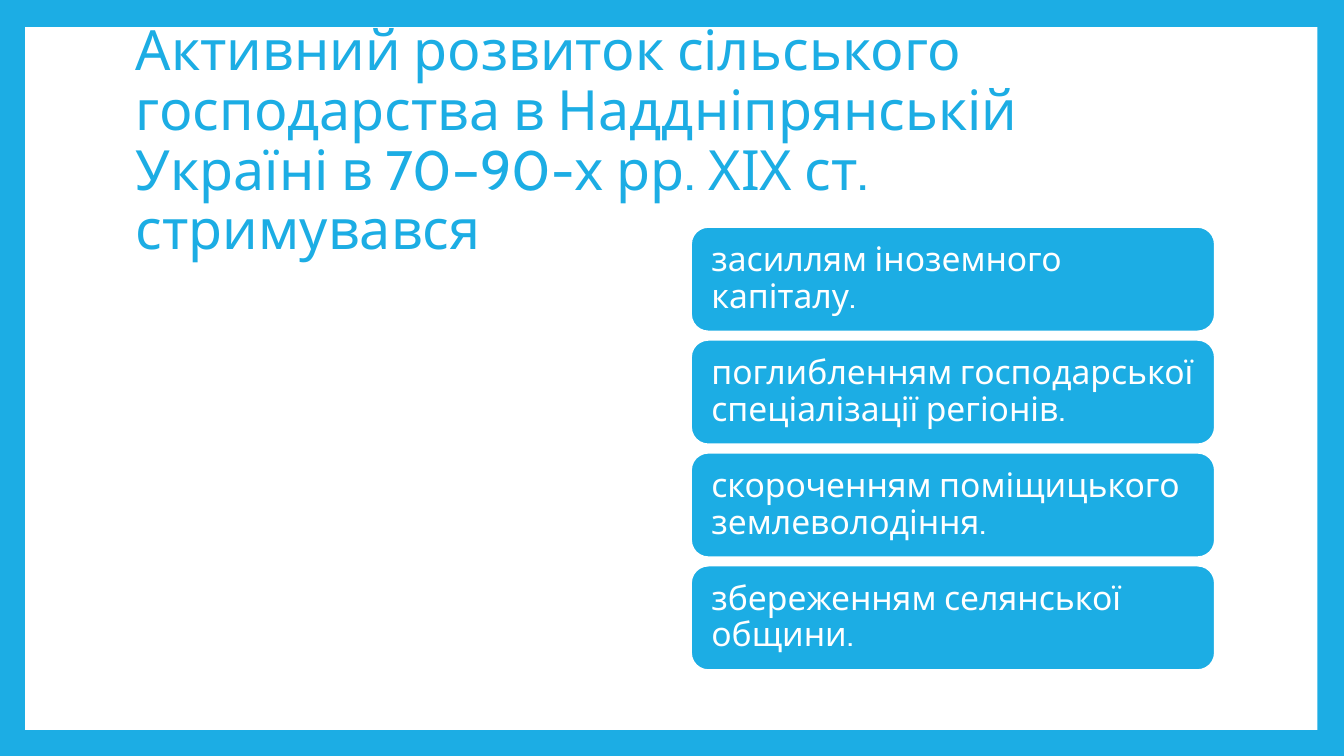
from pptx import Presentation
from pptx import util as u
from pptx.dml.color import RGBColor
from pptx.enum import shapes, text

BLUE = RGBColor(0x1C, 0xAD, 0xE4)
WHITE = RGBColor(0xFF, 0xFF, 0xFF)

TITLE = ("Активний розвиток сільського господарства в Наддніпрянській "
         "Україні в 70–90-х рр. ХІХ ст. стримувався")
REASONS = [
    "засиллям іноземного капіталу.",
    "поглибленням господарської спеціалізації регіонів.",
    "скороченням поміщицького землеволодіння.",
    "збереженням селянської общини.",
]
CARD_TOP = 162
CARD_STEP = 80.64


def write(shape, wording, size, color, inset_x=7.2, inset_y=3.6):
    """Fill a shape with one left-aligned, vertically centred paragraph."""
    frame = shape.text_frame
    frame.word_wrap = True
    frame.auto_size = text.MSO_AUTO_SIZE.NONE
    frame.vertical_anchor = text.MSO_ANCHOR.MIDDLE
    frame.margin_left = frame.margin_right = u.Pt(inset_x)
    frame.margin_top = frame.margin_bottom = u.Pt(inset_y)
    para = frame.paragraphs[0]
    para.alignment = text.PP_ALIGN.LEFT
    para.line_spacing = 0.9
    span = para.add_run()
    span.text = wording
    span.font.name = SlideBuilder.font
    span.font.size = u.Pt(size)
    span.font.color.rgb = color


class SlideBuilder:
    font = "Cabin"

    def __init__(self, deck):
        self.page = deck.slides.add_slide(deck.slide_layouts[6])

    def background(self, color):
        fill = self.page.background.fill
        fill.solid()
        fill.fore_color.rgb = color

    def block(self, kind, area, color, outline=None):
        box = self.page.shapes.add_shape(kind, *map(u.Pt, area))
        box.shadow.inherit = False
        box.fill.solid()
        box.fill.fore_color.rgb = color
        if outline is None:
            box.line.fill.background()
        else:
            box.line.color.rgb = outline
            box.line.width = u.Pt(1.5)
        return box

    def panel(self, area):
        self.block(shapes.MSO_SHAPE.RECTANGLE, area, WHITE)

    def title(self, wording, area):
        box = self.page.shapes.add_textbox(*map(u.Pt, area))
        write(box, wording, size=39.6, color=BLUE)

    def card(self, wording, area):
        box = self.block(shapes.MSO_SHAPE.ROUNDED_RECTANGLE, area, BLUE, outline=WHITE)
        write(box, wording, size=24, color=WHITE, inset_x=11, inset_y=7.2)


def main():
    deck = Presentation()
    deck.slide_width, deck.slide_height = u.Pt(960), u.Pt(540)
    builder = SlideBuilder(deck)
    builder.background(BLUE)
    builder.panel((18, 19.4, 923, 502))
    builder.title(TITLE, (90, 48.2, 777.6, 106.6))
    for index, reason in enumerate(REASONS):
        builder.card(reason, (493.5, CARD_TOP + index * CARD_STEP, 374.4, 74.9))
    deck.save("out.pptx")


if __name__ == "__main__":
    main()
